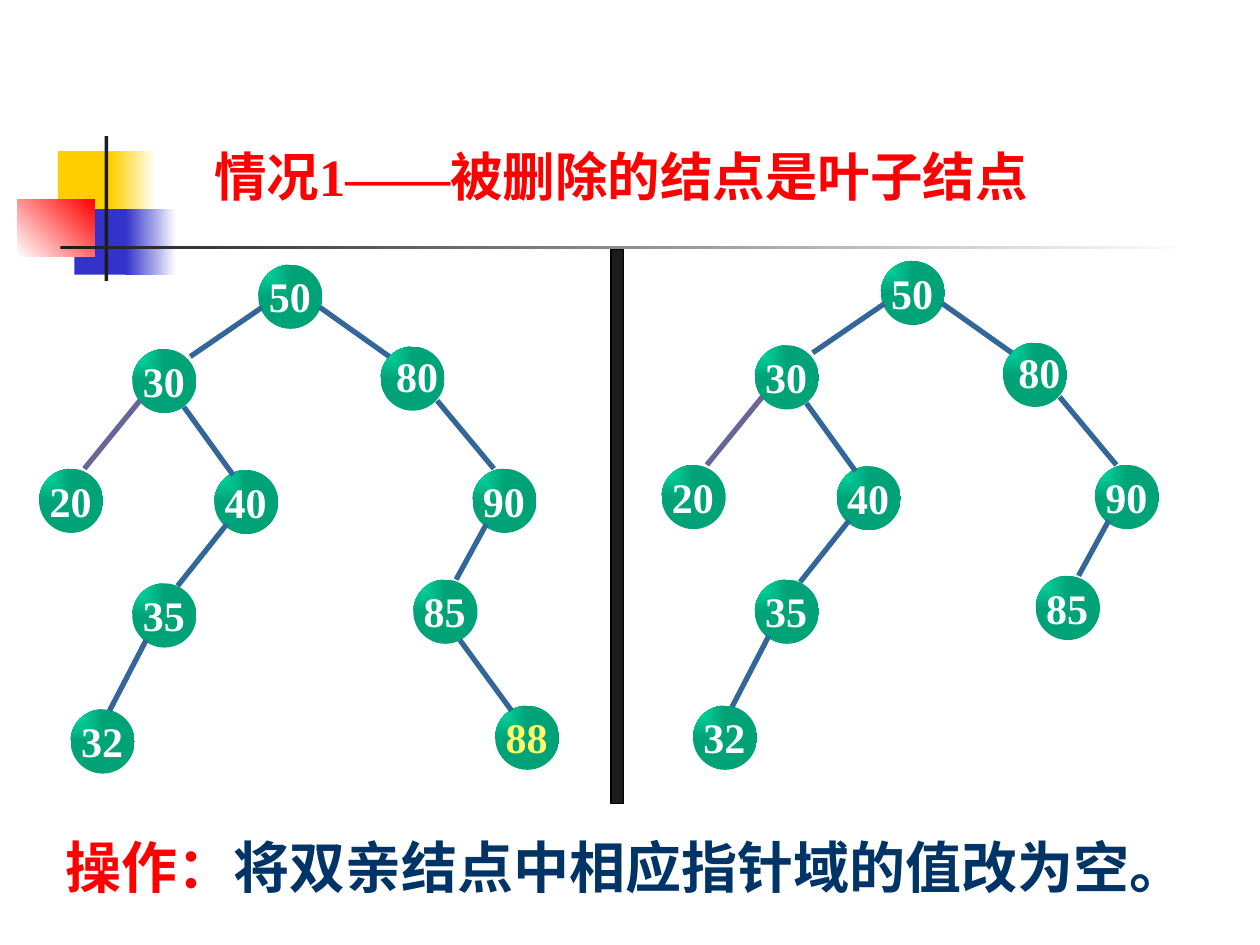
from dataclasses import dataclass

import pptx
import pptx.dml.color
import pptx.enum.shapes
import pptx.enum.text
import pptx.util
from lxml import etree
from pptx.oxml.ns import qn

Inches = pptx.util.Inches
Pt = pptx.util.Pt
Rgb = pptx.dml.color.RGBColor
Shape = pptx.enum.shapes.MSO_SHAPE
Align = pptx.enum.text.PP_ALIGN
Anchor = pptx.enum.text.MSO_ANCHOR
AutoSize = pptx.enum.text.MSO_AUTO_SIZE


@dataclass(frozen=True)
class Theme:
    font: str = "Times New Roman"
    white: str = "FFFFFF"
    black: str = "000000"
    ink: str = "1C1C1C"
    yellow: str = "FFCF01"
    blue: str = "3333CC"
    red: str = "FF0000"
    navy: str = "003366"
    node_light: str = "00E4A8"
    node_dark: str = "00A378"
    deleted: str = "FFFF66"
    edge: str = "336699"
    leaf_edge: str = "666699"
    title_size: int = 30
    node_size: int = 24
    operation_size: int = 32
    edge_width: float = 3
    divider_width: float = 0.75


@dataclass(frozen=True)
class Bar:
    left: float
    top: float
    width: float
    height: float
    colors: tuple[str, ...]
    angle: float = 0


@dataclass(frozen=True)
class Node:
    key: int
    left: float
    top: float
    color: str
    label_dx: float = 0.05
    label_dy: float = 0.05


@dataclass(frozen=True)
class Edge:
    child: int
    x1: float
    y1: float
    x2: float
    y2: float
    color: str


THEME = Theme()
NODE_DIAMETER = 0.51
LABEL_WIDTH, LABEL_HEIGHT = 0.4, 0.52
DELETED_KEY = 88

ORNAMENTS = [
    Bar(0.46, 1.2, 0.48, 0.52, (THEME.yellow,)),
    Bar(0.88, 1.2, 0.36, 0.52, (THEME.yellow, THEME.white)),
    Bar(0.59, 1.66, 0.46, 0.52, (THEME.blue,)),
    Bar(1, 1.66, 0.4, 0.52, (THEME.blue, THEME.white)),
    Bar(0.14, 1.58, 0.61, 0.46, (THEME.white, THEME.red), 45),
    Bar(0.83, 1.08, 0.03, 1.15, (THEME.ink,)),
    Bar(0.48, 1.95, 9, 0.03, (THEME.ink, THEME.white)),
]
DIVIDER = Bar(4.85, 1.98, 0.1, 4.4, (THEME.ink,))

NODES = [
    Node(50, 2.05, 2.1, THEME.white),
    Node(30, 1.05, 2.77, THEME.white),
    Node(20, 0.31, 3.72, THEME.white),
    Node(80, 3.02, 2.75, THEME.white, 0.09, 0.03),
    Node(90, 3.75, 3.72, THEME.white),
    Node(85, 3.28, 4.6, THEME.white),
    Node(DELETED_KEY, 3.93, 5.6, THEME.deleted),
    Node(40, 1.7, 3.73, THEME.white),
    Node(35, 1.05, 4.63, THEME.white),
    Node(32, 0.56, 5.63, THEME.white),
]
EDGES = [
    Edge(30, 2.08, 2.44, 1.51, 2.83, THEME.edge),
    Edge(20, 1.11, 3.18, 0.67, 3.72, THEME.leaf_edge),
    Edge(80, 2.54, 2.44, 3.09, 2.83, THEME.edge),
    Edge(40, 1.46, 3.23, 1.85, 3.77, THEME.edge),
    Edge(35, 1.8, 4.16, 1.41, 4.65, THEME.edge),
    Edge(90, 3.47, 3.18, 3.92, 3.72, THEME.edge),
    Edge(85, 3.86, 4.16, 3.62, 4.6, THEME.edge),
    Edge(DELETED_KEY, 3.65, 5.08, 4.06, 5.64, THEME.edge),
    Edge(32, 1.16, 5.08, 0.87, 5.64, THEME.edge),
]


def rgb(color: str) -> Rgb:
    return Rgb.from_string(color)


def set_font(font, size: float, color: str | None = None) -> None:
    font.name = THEME.font
    font.size = Pt(size)
    font.bold = True
    if color:
        font.color.rgb = rgb(color)


def fill_gradient(shape, colors: tuple[str, ...], angle: float) -> None:
    shape.fill.gradient()
    shape.fill.gradient_angle = angle
    for stop, color in zip(shape.fill.gradient_stops, colors):
        stop.color.rgb = rgb(color)


def draw_bar(shapes, bar: Bar):
    shape = shapes.add_shape(Shape.RECTANGLE, Inches(bar.left), Inches(bar.top),
                             Inches(bar.width), Inches(bar.height))
    shape.shadow.inherit = False
    shape.line.fill.background()
    if len(bar.colors) == 1:
        shape.fill.solid()
        shape.fill.fore_color.rgb = rgb(bar.colors[0])
    else:
        fill_gradient(shape, bar.colors, bar.angle)
    return shape


def draw_node(shapes, node: Node, dx: float, dy: float) -> None:
    left, top = node.left + dx, node.top + dy
    disc = shapes.add_shape(Shape.OVAL, Inches(left), Inches(top),
                            Inches(NODE_DIAMETER), Inches(NODE_DIAMETER))
    disc.shadow.inherit = False
    disc.line.fill.background()
    fill_gradient(disc, (THEME.node_light, THEME.node_dark), 0)
    gradient = disc._element.spPr.find(qn("a:gradFill"))
    corner_glow = etree.Element(qn("a:path"), {"path": "rect"})
    etree.SubElement(corner_glow, qn("a:fillToRect"), {"r": "100000", "b": "100000"})
    gradient.replace(gradient.find(qn("a:lin")), corner_glow)

    label = shapes.add_textbox(Inches(left + node.label_dx), Inches(top + node.label_dy),
                               Inches(LABEL_WIDTH), Inches(LABEL_HEIGHT))
    frame = label.text_frame
    frame.word_wrap = True
    frame.margin_left = frame.margin_right = frame.margin_top = 0
    frame.margin_bottom = Inches(0.04)
    key = frame.paragraphs[0]
    key.text = str(node.key)
    key.alignment = Align.CENTER
    set_font(key.font, THEME.node_size, node.color)


def draw_edge(shapes, edge: Edge, dx: float, dy: float) -> None:
    line = shapes.add_connector(pptx.enum.shapes.MSO_CONNECTOR.STRAIGHT,
                                Inches(edge.x1 + dx), Inches(edge.y1 + dy),
                                Inches(edge.x2 + dx), Inches(edge.y2 + dy))
    line.line.color.rgb = rgb(edge.color)
    line.line.width = Pt(THEME.edge_width)
    etree.SubElement(line._element.spPr, qn("a:effectLst"))


def draw_tree(slide, dx: float = 0, dy: float = 0, omitted: int | None = None) -> None:
    tree = slide.shapes.add_group_shape()
    for node in NODES:
        if node.key != omitted:
            draw_node(tree.shapes, node, dx, dy)
    for edge in EDGES:
        if edge.child != omitted:
            draw_edge(tree.shapes, edge, dx, dy)


def main() -> None:
    deck = pptx.Presentation()
    deck.slide_width, deck.slide_height = Inches(10), Inches(7.5)
    slide = deck.slides.add_slide(deck.slide_layouts[5])
    for ornament in ORNAMENTS:
        draw_bar(slide.shapes, ornament)

    title = slide.shapes.title
    title.left, title.top = Inches(1.6), Inches(1.09)
    title.width, title.height = Inches(7.54), Inches(0.6)
    title.text_frame.vertical_anchor = Anchor.TOP
    title.text_frame.auto_size = AutoSize.SHAPE_TO_FIT_TEXT
    heading = title.text_frame.paragraphs[0]
    heading.text = "情况1——被删除的结点是叶子结点"
    heading.alignment = Align.LEFT
    set_font(heading.font, THEME.title_size, THEME.red)

    draw_tree(slide)
    divider = draw_bar(slide.shapes, DIVIDER)
    divider.line.color.rgb = rgb(THEME.black)
    divider.line.width = Pt(THEME.divider_width)
    draw_tree(slide, 4.94, -0.03, DELETED_KEY)

    operation = slide.shapes.add_textbox(Inches(0.42), Inches(6.56), Inches(9.13), Inches(0.63))
    operation.text_frame.word_wrap = True
    operation.text_frame.auto_size = AutoSize.SHAPE_TO_FIT_TEXT
    sentence = operation.text_frame.paragraphs[0]
    set_font(sentence.font, THEME.operation_size)
    for words, color in (("操作：", THEME.red), ("将双亲结点中相应指针域的值改为空。", THEME.navy)):
        run = sentence.add_run()
        run.text = words
        run.font.color.rgb = rgb(color)

    deck.save("out.pptx")


if __name__ == "__main__":
    main()
